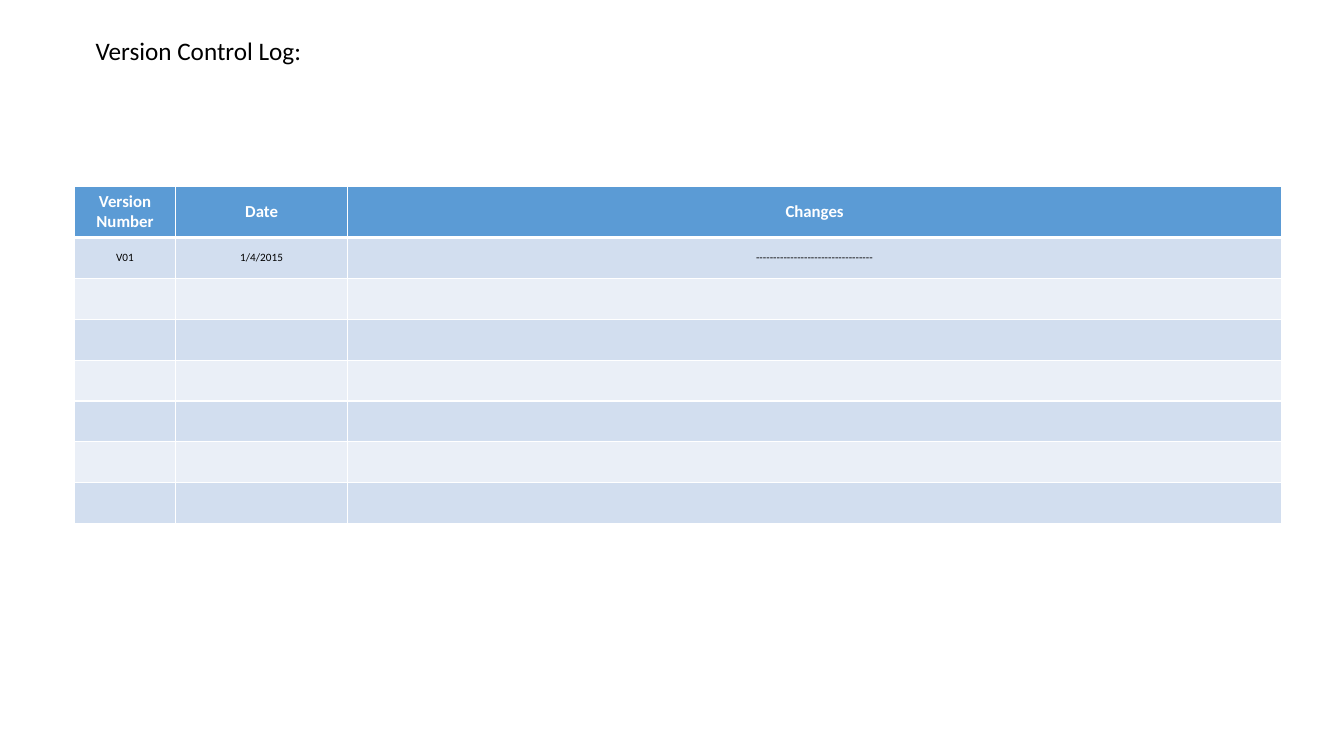
import dataclasses

import pptx
import pptx.dml.color
import pptx.enum.text
import pptx.oxml
import pptx.oxml.ns
import pptx.util

WIDE, HIGH = 13.33, 7.5
FONT = "Calibri"
COLORS = {
    "head": "5B9BD5",
    "odd": "D2DEEF",
    "even": "EAEFF7",
    "white": "FFFFFF",
    "black": "000000",
}


@dataclasses.dataclass(frozen=True)
class Style:
    fill: str
    ink: str
    size: int
    bold: bool
    top: int
    base: int


HEAD = Style("head", "white", 12, True, 1, 3)
FIRST = Style("odd", "black", 8, False, 3, 1)
ODD = Style("odd", "black", 8, False, 1, 1)
EVEN = Style("even", "black", 8, False, 1, 1)

COLS = (1, 1.71, 9.26)
BLANK = ("", "", "")
ROWS = [
    (("Version Number", "Date", "Changes"), HEAD),
    (("V01", "1/4/2015", "-" * 34), FIRST),
    *[(BLANK, style) for style in (EVEN, ODD) * 3],
]


def color(name: str) -> pptx.dml.color.RGBColor:
    return pptx.dml.color.RGBColor.from_string(COLORS[name])


def write(para, text: str, size: int, ink: str, bold: bool = False) -> None:
    para.text = text
    para.font.name = FONT
    para.font.size = pptx.util.Pt(size)
    para.font.bold = bold
    para.font.color.rgb = color(ink)


def border(cell, style: Style) -> None:
    props = cell._tc.get_or_add_tcPr()
    sides = {"L": 1, "R": 1, "T": style.top, "B": style.base}
    for spot, (side, width) in enumerate(sides.items()):
        line = pptx.oxml.parse_xml(
            f'<a:ln{side} {pptx.oxml.ns.nsdecls("a")} w="{pptx.util.Pt(width)}">'
            f'<a:solidFill><a:srgbClr val="{COLORS["white"]}"/></a:solidFill>'
            f"</a:ln{side}>"
        )
        props.insert(spot, line)


def paint(cell, text: str, style: Style) -> None:
    cell.fill.solid()
    cell.fill.fore_color.rgb = color(style.fill)
    border(cell, style)
    cell.vertical_anchor = pptx.enum.text.MSO_ANCHOR.MIDDLE
    if text:
        para = cell.text_frame.paragraphs[0]
        para.alignment = pptx.enum.text.PP_ALIGN.CENTER
        write(para, text, style.size, style.ink, style.bold)


def title(slide) -> None:
    inch = pptx.util.Inches
    box = slide.shapes.add_textbox(inch(0.85), inch(0.3), inch(2.26), inch(0.4))
    frame = box.text_frame
    frame.word_wrap = False
    frame.auto_size = pptx.enum.text.MSO_AUTO_SIZE.SHAPE_TO_FIT_TEXT
    write(frame.paragraphs[0], "Version Control Log:", 18, "black")


def log(slide) -> None:
    inch = pptx.util.Inches
    table = slide.shapes.add_table(
        len(ROWS), len(COLS), inch(0.74), inch(1.85), inch(sum(COLS)), inch(3.24)
    ).table
    for col, width in zip(table.columns, COLS):
        col.width = inch(width)
    for row, (texts, style) in zip(table.rows, ROWS):
        for cell, text in zip(row.cells, texts):
            paint(cell, text, style)


def main() -> None:
    deck = pptx.Presentation()
    deck.slide_width = pptx.util.Inches(WIDE)
    deck.slide_height = pptx.util.Inches(HIGH)
    slide = deck.slides.add_slide(deck.slide_layouts[6])
    # Version table
    log(slide)
    # Heading
    title(slide)
    deck.save("out.pptx")


if __name__ == "__main__":
    main()
